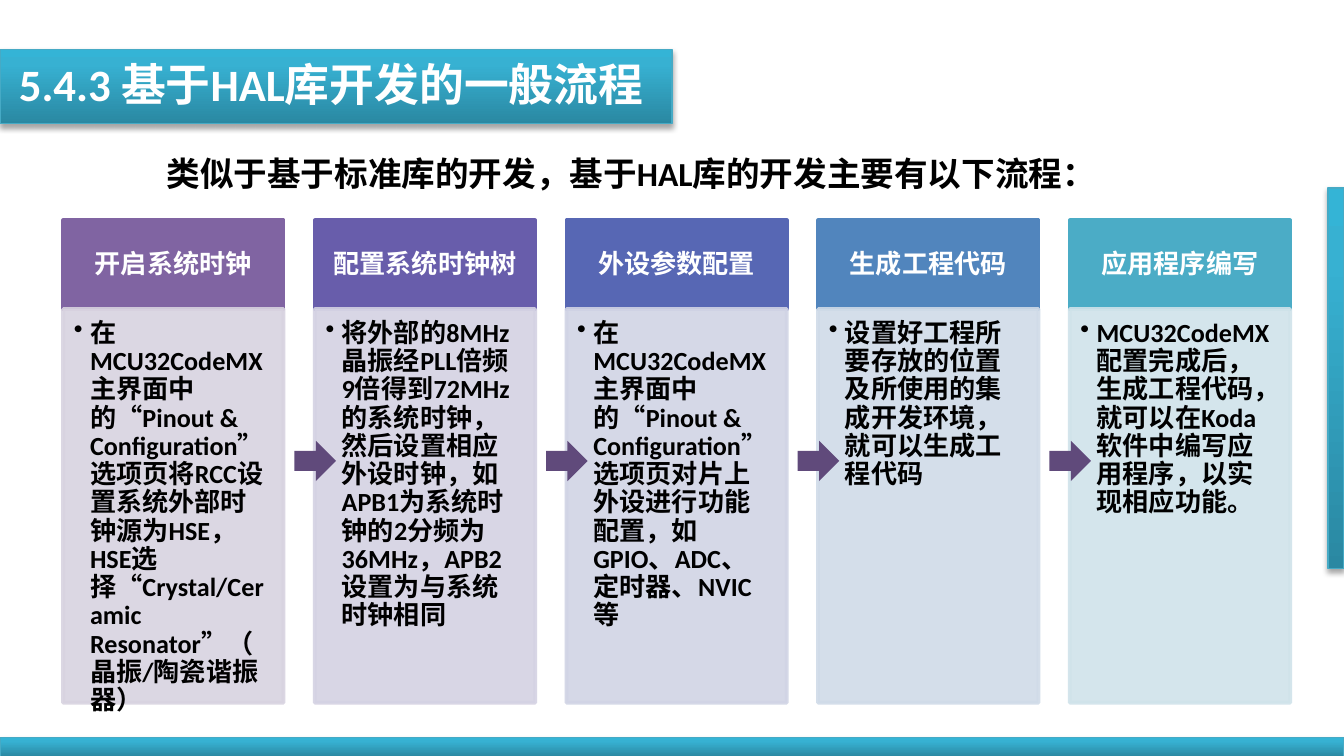
from lxml import etree
from pptx import Presentation
from pptx.dml.color import RGBColor
from pptx.enum.shapes import MSO_SHAPE as Shape
from pptx.enum.text import MSO_ANCHOR as Anchor, MSO_AUTO_SIZE as AutoSize, PP_ALIGN as Align
from pptx.oxml import parse_xml
from pptx.oxml.ns import nsdecls, qn
from pptx.util import Inches, Pt

TITLE = "5.4.3 基于HAL库开发的一般流程"
INTRO = "类似于基于标准库的开发，基于HAL库的开发主要有以下流程："

WHITE = RGBColor(0xFF, 0xFF, 0xFF)
BLACK = RGBColor(0x00, 0x00, 0x00)
BAR_EDGE = RGBColor(0x46, 0xAA, 0xC5)
ARROW = RGBColor(0x60, 0x4A, 0x7B)
BAR_STOPS = [(0, "2A88A2"), (80, "37B1D2"), (100, "34B4D6")]

STEPS = [
    ("开启系统时钟", RGBColor(0x80, 0x64, 0xA2), RGBColor(0xD8, 0xD3, 0xE0),
     "在MCU32CodeMX主界面中的“Pinout & Configuration”选项页将RCC设置系统外部时钟源为HSE，"
     "HSE选择“Crystal/Ceramic Resonator”（晶振/陶瓷谐振器）"),
    ("配置系统时钟树", RGBColor(0x68, 0x5D, 0xAB), RGBColor(0xD4, 0xD2, 0xE3),
     "将外部的8MHz晶振经PLL倍频9倍得到72MHz的系统时钟，然后设置相应外设时钟，"
     "如APB1为系统时钟的2分频为36MHz，APB2设置为与系统时钟相同"),
    ("外设参数配置", RGBColor(0x57, 0x67, 0xB4), RGBColor(0xD1, 0xD4, 0xE5),
     "在MCU32CodeMX主界面中的“Pinout & Configuration”选项页对片上外设进行功能配置，"
     "如GPIO、ADC、定时器、NVIC等"),
    ("生成工程代码", RGBColor(0x51, 0x85, 0xBD), RGBColor(0xD0, 0xDB, 0xE8),
     "设置好工程所要存放的位置及所使用的集成开发环境，就可以生成工程代码"),
    ("应用程序编写", RGBColor(0x4B, 0xAC, 0xC6), RGBColor(0xD0, 0xE3, 0xEA),
     "MCU32CodeMX配置完成后，生成工程代码，就可以在Koda软件中编写应用程序，以实现相应功能。"),
]

SLIDE_WIDTH = 10
SLIDE_HEIGHT = SLIDE_WIDTH * 9 / 16
BARS = [(0, 5.49, SLIDE_WIDTH, 0.14), (9.88, 1.4, 0.12, 2.83), (0, 0.37, 5, 0.55)]
FIRST_LEFT, LAST_LEFT, STEP_WIDTH = 0.47, 7.96, 1.64
PITCH = (LAST_LEFT - FIRST_LEFT) / (len(STEPS) - 1)
HEAD_TOP, HEAD_HEIGHT, BODY_HEIGHT = 1.64, 0.66, 2.93
ARROW_OFFSET, ARROW_TOP, ARROW_WIDTH, ARROW_HEIGHT = 1.72, 3.28, 0.31, 0.3


def add_block(slide, kind, box, fill=None, edge=None, edge_width=2):
    block = slide.shapes.add_shape(kind, *map(Inches, box))
    block.shadow.inherit = False
    if fill is not None:
        block.fill.solid()
        block.fill.fore_color.rgb = fill
    if edge is None:
        block.line.fill.background()
    else:
        block.line.color.rgb = edge
        block.line.width = Pt(edge_width)
    return block


def add_bar(slide, box):
    bar = add_block(slide, Shape.RECTANGLE, box, edge=BAR_EDGE, edge_width=0.75)
    stops = "".join(f'<a:gs pos="{pos * 1000}"><a:srgbClr val="{color}"/></a:gs>'
                    for pos, color in BAR_STOPS)
    gradient = parse_xml(f'<a:gradFill {nsdecls("a")} rotWithShape="1"><a:gsLst>{stops}</a:gsLst>'
                         '<a:lin ang="16200000" scaled="0"/></a:gradFill>')
    properties = bar.element.spPr
    properties.find(qn("a:prstGeom")).addnext(gradient)
    properties.find(qn("a:effectLst")).append(parse_xml(
        f'<a:outerShdw {nsdecls("a")} blurRad="{Pt(3.1)}" dist="{Pt(1.8)}" dir="5400000" '
        'rotWithShape="0"><a:srgbClr val="000000"><a:alpha val="35000"/></a:srgbClr></a:outerShdw>'))


def set_text(holder, text, size, color, align=Align.LEFT, anchor=Anchor.TOP,
             insets=(0.1, 0.05, 0.1, 0.05), spacing=None, bullet=False):
    frame = holder.text_frame
    frame.word_wrap = True
    frame.vertical_anchor = anchor
    (frame.margin_left, frame.margin_top,
     frame.margin_right, frame.margin_bottom) = map(Inches, insets)
    frame.text = text
    paragraph = frame.paragraphs[0]
    paragraph.alignment = align
    paragraph.line_spacing = spacing
    if bullet:
        paragraph.level = 1
        settings = paragraph._p.get_or_add_pPr()
        settings.set("marL", str(Inches(0.12)))
        settings.set("indent", str(Inches(-0.12)))
        etree.SubElement(settings, qn("a:buChar")).set("char", "•")
    font = paragraph.font
    font.name, font.size, font.bold = "Calibri", Pt(size), True
    font.color.rgb = color
    return frame


def add_step(slide, left, heading, head_color, body_color, detail):
    head = add_block(slide, Shape.RECTANGLE, (left, HEAD_TOP, STEP_WIDTH, HEAD_HEIGHT),
                     head_color, head_color)
    set_text(head, heading, 14, WHITE, Align.CENTER, Anchor.MIDDLE,
             (0.11, 0.06, 0.11, 0.06), 0.9)
    body = add_block(slide, Shape.RECTANGLE,
                     (left, HEAD_TOP + HEAD_HEIGHT, STEP_WIDTH, BODY_HEIGHT),
                     body_color, body_color)
    for color in body.element.spPr.iter(qn("a:srgbClr")):
        etree.SubElement(color, qn("a:alpha")).set("val", "90000")
    set_text(body, detail, 14, BLACK, insets=(0.08, 0.08, 0.11, 0.12), spacing=0.9, bullet=True)


def main():
    deck = Presentation()
    deck.slide_width, deck.slide_height = Inches(SLIDE_WIDTH), Inches(SLIDE_HEIGHT)
    slide = deck.slides.add_slide(deck.slide_layouts[5])

    for box in BARS:
        add_bar(slide, box)

    title = slide.shapes.title
    title.left, title.top, title.width, title.height = map(Inches, (0.04, 0.37, 5.12, 0.5))
    set_text(title, TITLE, 24, WHITE).auto_size = AutoSize.SHAPE_TO_FIT_TEXT
    slide.shapes._spTree.append(title.element)

    lefts = [FIRST_LEFT + i * PITCH for i in range(len(STEPS))]
    for left, step in zip(lefts, STEPS):
        add_step(slide, left, *step)

    intro = slide.shapes.add_textbox(*map(Inches, (1.14, 1.09, 7.32, 0.4)))
    set_text(intro, INTRO, 18, BLACK).auto_size = AutoSize.SHAPE_TO_FIT_TEXT

    for left in lefts[:-1]:
        add_block(slide, Shape.RIGHT_ARROW,
                  (left + ARROW_OFFSET, ARROW_TOP, ARROW_WIDTH, ARROW_HEIGHT), ARROW)

    deck.save("out.pptx")


if __name__ == "__main__":
    main()
